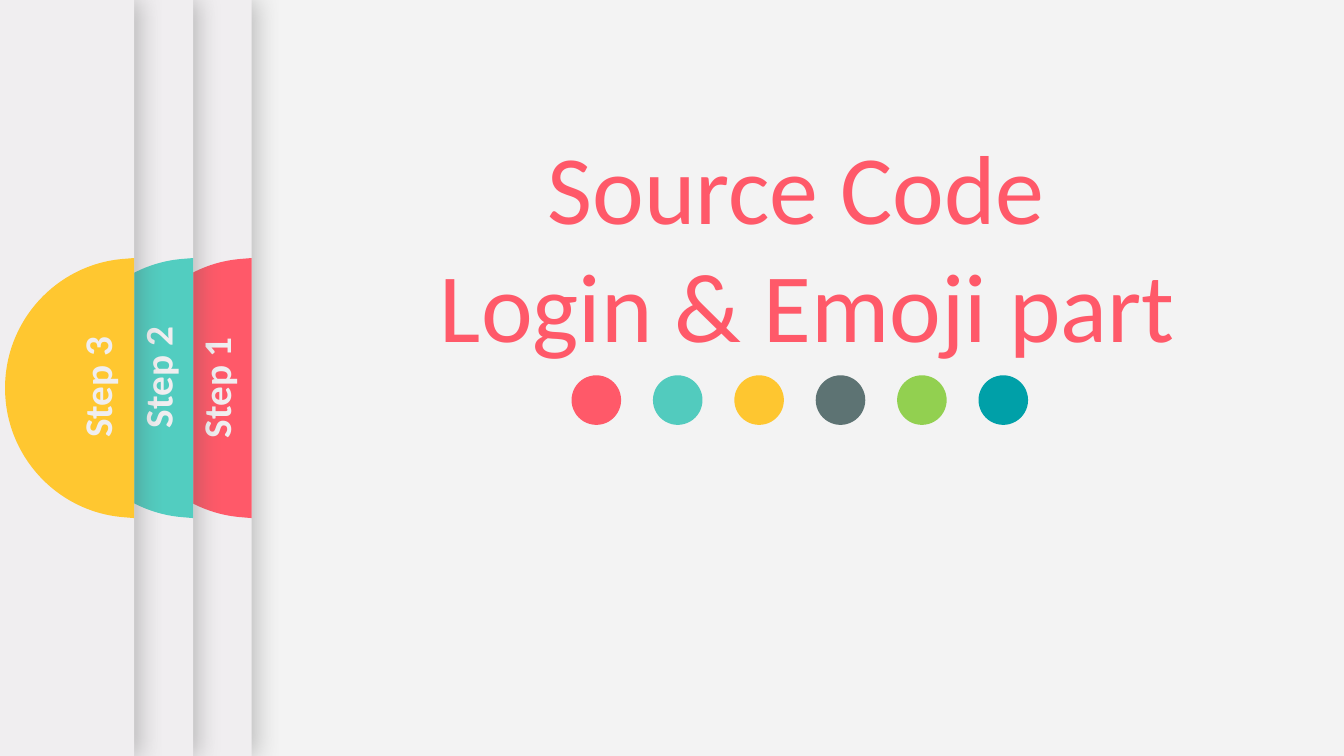
from dataclasses import dataclass

from lxml.etree import SubElement
from pptx import Presentation
from pptx.dml.color import RGBColor
from pptx.enum.shapes import MSO_SHAPE
from pptx.enum.text import MSO_ANCHOR, MSO_AUTO_SIZE, PP_ALIGN
from pptx.oxml.ns import qn
from pptx.util import Inches, Pt

CORAL = RGBColor(0xFF, 0x59, 0x69)
TEAL = RGBColor(0x52, 0xCB, 0xBE)
TAB_TEAL = RGBColor(0x52, 0xCD, 0xC0)
AMBER = RGBColor(0xFE, 0xC6, 0x30)
TAB_AMBER = RGBColor(0xFF, 0xC7, 0x30)
SLATE = RGBColor(0x5D, 0x73, 0x73)
GREEN = RGBColor(0x92, 0xD0, 0x50)
OCEAN = RGBColor(0x00, 0xA0, 0xA8)
PANEL = RGBColor(0xF0, 0xEE, 0xF0)
BACKGROUND = RGBColor(0xF3, 0xF3, 0xF3)
SHADOW = RGBColor(0x59, 0x59, 0x59)

COLUMNS, ROWS = 160, 90
CELL = Inches(7.5) / ROWS
TAB_MIDDLE = 46.2
LOWER_TAB = [(0, 15.48), (1.44, 15.36), (9.24, 14.64), (15.36, 8.04)]
TAB_OUTLINE = LOWER_TAB + [(15.36, 0)] + [(x, -y) for x, y in reversed(LOWER_TAB)]
LABEL_WIDTH, LABEL_HEIGHT = 26.16, 6.84
DOT_LEFT, DOT_TOP, DOT_SIZE, DOT_PITCH = 68.04, 44.68, 5.9, 9.69


@dataclass
class Step:
    label: str
    left: float
    right: float
    label_center: float
    label_middle: float
    color: RGBColor


STEPS = [
    Step("Step 1", -133.8, 29.96, 25.68, 46.14, CORAL),
    Step("Step 2", -127.2, 23, 18.72, 44.94, TAB_TEAL),
    Step("Step 3", -114.72, 15.96, 11.5, 46.1, TAB_AMBER),
]
DOTS = [CORAL, TEAL, AMBER, SLATE, GREEN, OCEAN]


def grid(*cells: float) -> list[int]:
    return [round(c * CELL) for c in cells]


def paint(sp, color: RGBColor) -> None:
    sp.shadow.inherit = False
    sp.fill.solid()
    sp.fill.fore_color.rgb = color
    sp.line.fill.background()


def write(sp, lines: list[str], *, size: float, color: RGBColor, bold: bool = False) -> None:
    tf = sp.text_frame
    tf.word_wrap = True
    tf.auto_size = MSO_AUTO_SIZE.SHAPE_TO_FIT_TEXT
    tf.vertical_anchor = MSO_ANCHOR.TOP
    for i, line in enumerate(lines):
        p = tf.add_paragraph() if i else tf.paragraphs[0]
        p.alignment = PP_ALIGN.CENTER
        p.line_spacing = 1.0
        p.space_before = Pt(0)
        r = p.add_run()
        r.text = line
        r.font.name = "Calibri"
        r.font.size = Pt(size)
        r.font.bold = bold
        r.font.color.rgb = color


def cast_shadow(sp) -> None:
    effects = sp._element.spPr.find(qn("a:effectLst"))
    outer = SubElement(effects, qn("a:outerShdw"), blurRad=str(Pt(17)),
                       dist=str(Pt(3)), dir="0", algn="l", rotWithShape="0")
    color = SubElement(outer, qn("a:srgbClr"), val=str(SHADOW))
    SubElement(color, qn("a:alpha"), val="35000")


def round_tab(sp) -> None:
    lines = list(sp._element.iter(qn("a:lnTo")))[-6:]
    for start in (0, 3):
        first, *others = lines[start:start + 3]
        curve = first.makeelement(qn("a:cubicBezTo"))
        first.addprevious(curve)
        for line in (first, *others):
            curve.append(line[0])
            line.getparent().remove(line)


def draw_tab(shapes, step: Step) -> None:
    start, *points = [grid(step.right - x, TAB_MIDDLE + y)
                      for x, y in [TAB_OUTLINE[-1], *TAB_OUTLINE[:-1]]]
    outline = shapes.build_freeform(*start)
    outline.add_line_segments(points, close=True)
    tab = outline.convert_to_shape()
    round_tab(tab)
    paint(tab, step.color)


def draw_step(s, step: Step) -> None:
    shapes = s.shapes.add_group_shape().shapes
    panel = shapes.add_shape(MSO_SHAPE.RECTANGLE, *grid(
        step.left, 0, step.right - step.left, ROWS))
    paint(panel, PANEL)
    cast_shadow(panel)
    draw_tab(shapes, step)
    label = shapes.add_textbox(*grid(
        step.label_center - LABEL_WIDTH / 2, step.label_middle - LABEL_HEIGHT / 2,
        LABEL_WIDTH, LABEL_HEIGHT))
    label.rotation = 270
    write(label, [step.label], size=28, color=PANEL, bold=True)


def main() -> None:
    prs = Presentation()
    prs.slide_width, prs.slide_height = grid(COLUMNS, ROWS)
    s = prs.slides.add_slide(prs.slide_layouts[5])
    s.background.fill.solid()
    s.background.fill.fore_color.rgb = BACKGROUND

    title = s.shapes.title
    title.left, title.top, title.width, title.height = grid(34.44, 14.52, 123.36, 29.52)
    write(title, ["Source Code ", "Login & Emoji part"], size=70, color=CORAL)

    dots = s.shapes.add_group_shape().shapes
    for i, color in enumerate(DOTS):
        dot = dots.add_shape(MSO_SHAPE.OVAL, *grid(
            DOT_LEFT + i * DOT_PITCH, DOT_TOP, DOT_SIZE, DOT_SIZE))
        paint(dot, color)
    for step in STEPS:
        draw_step(s, step)
    prs.save("out.pptx")


if __name__ == "__main__":
    main()
